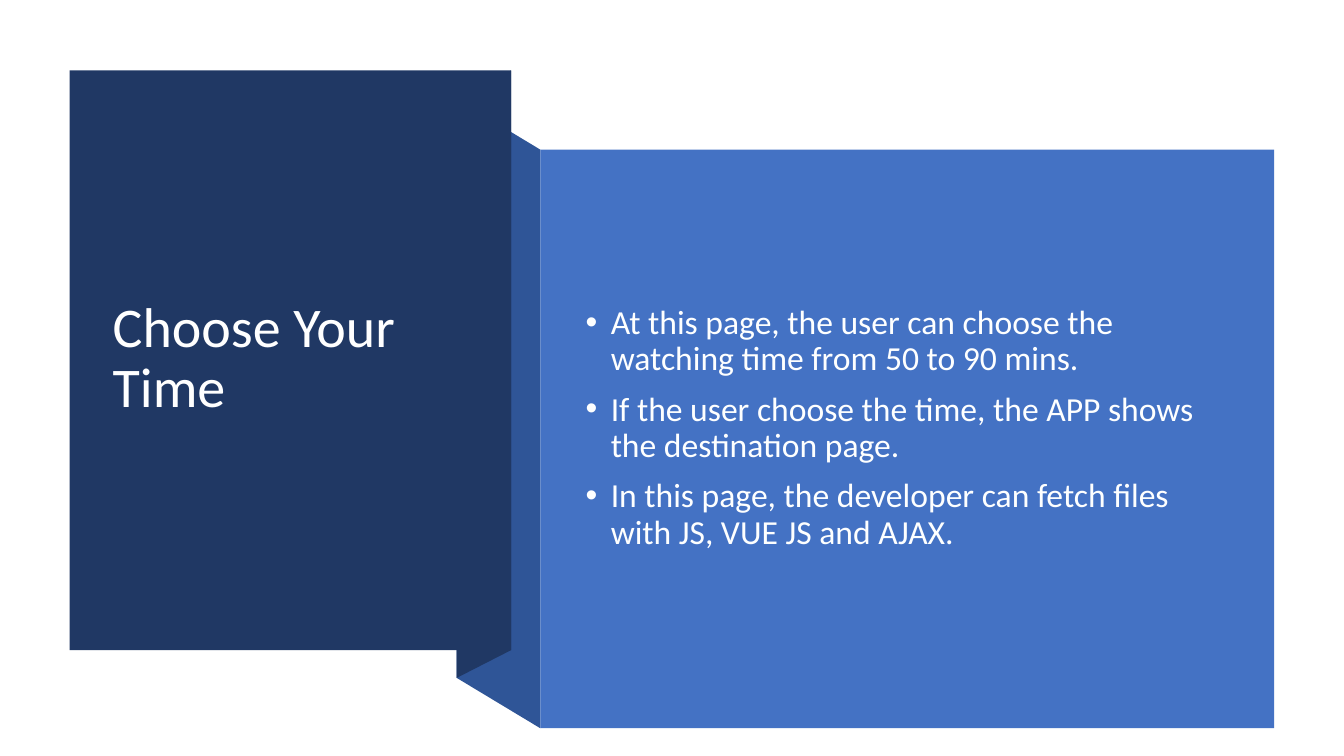
import pptx
import pptx.dml.color
import pptx.enum.shapes
import pptx.enum.text
import pptx.oxml.ns
import pptx.util
from lxml import etree

RGBColor = pptx.dml.color.RGBColor
NAVY = RGBColor(0x20, 0x38, 0x64)
FOLD = RGBColor(0x2F, 0x55, 0x97)
BLUE = RGBColor(0x44, 0x72, 0xC4)
WHITE = RGBColor(0xFF, 0xFF, 0xFF)
PALE = RGBColor(0xFE, 0xFF, 0xFF)

# Shared edges, in percent of the slide's width (x) or height (y)
LEFT, INNER, CREASE, HINGE, RIGHT = 5.18, 33.98, 38.03, 40.2, 94.8
TOP, BASE = 9.33, 86
BACK_TOP, BACK_BASE = 13.13, 89.67
PANEL_TOP, PANEL_BASE = 19.8, 96.33

TITLE = "Choose Your Time"
POINTS = [
    "At this page, the user can choose the watching time from 50 to 90 mins.",
    "If the user choose the time, the APP shows the destination page.",
    "In this page, the developer can fetch files with JS, VUE JS and AJAX.",
]


class Deck:
    """Holds the style and the current slide; lengths are percents."""

    font = "Calibri"
    lead = 0.9
    gap = pptx.util.Pt(10)
    hang = pptx.util.Inches(0.25)

    def __init__(self, show):
        """Add a blank slide to the show."""
        self.wide, self.high = show.slide_width, show.slide_height
        self.shapes = show.slides.add_slide(show.slide_layouts[6]).shapes

    def spot(self, x, y):
        """Turn percents into slide lengths."""
        return round(self.wide * x / 100), round(self.high * y / 100)

    def paint(self, shape, color):
        """Give a shape a flat fill with no line or shadow."""
        shape.shadow.inherit = False
        shape.fill.solid()
        shape.fill.fore_color.rgb = color
        shape.line.fill.background()

    def rect(self, left, top, right, base, color):
        """Draw a rectangle between its edges."""
        kind = pptx.enum.shapes.MSO_SHAPE.RECTANGLE
        size = self.spot(right - left, base - top)
        self.paint(self.shapes.add_shape(kind, *self.spot(left, top), *size), color)

    def flap(self, points, color):
        """Draw a closed outline through the points."""
        first, *rest = [self.spot(*point) for point in points]
        form = self.shapes.build_freeform(*first)
        form.add_line_segments(rest, close=True)
        self.paint(form.convert_to_shape(), color)

    def text(self, left, top, width, height, lines, size, color, listed=False):
        """Write paragraphs, centred in height, with bullets if listed."""
        box = self.shapes.add_textbox(*self.spot(left, top), *self.spot(width, height))
        frame = box.text_frame
        frame.word_wrap = True
        frame.vertical_anchor = pptx.enum.text.MSO_ANCHOR.MIDDLE
        frame.text = "\n".join(lines)
        for para in frame.paragraphs:
            para.line_spacing = self.lead
            para.font.name = self.font
            para.font.size = pptx.util.Pt(size)
            para.font.color.rgb = color
            if listed:
                para.space_before = self.gap
                self.bullet(para)

    def bullet(self, para):
        """Add a round bullet and a hanging indent."""
        props = para._p.get_or_add_pPr()
        props.set("marL", str(self.hang))
        props.set("indent", str(-self.hang))
        qn = pptx.oxml.ns.qn
        face = etree.Element(qn("a:buFont"), typeface="Arial")
        mark = etree.Element(qn("a:buChar"), char="•")
        start = props.find(qn("a:defRPr"))
        start.addprevious(face)
        start.addprevious(mark)


def main():
    """Build the slide and save it."""
    show = pptx.Presentation()
    show.slide_width = pptx.util.Inches(13.33)
    show.slide_height = pptx.util.Inches(7.5)
    deck = Deck(show)
    deck.flap([(HINGE, PANEL_BASE), (INNER, BACK_BASE),
               (INNER, BACK_TOP), (HINGE, PANEL_TOP)], FOLD)
    deck.flap([(CREASE, BASE), (INNER, BACK_BASE),
               (INNER, BACK_TOP), (CREASE, TOP)], NAVY)
    deck.rect(LEFT, TOP, CREASE, BASE, NAVY)
    deck.text(7.65, 14.27, 27.83, 66.53, [TITLE], 40, WHITE)
    deck.rect(HINGE, PANEL_TOP, RIGHT, PANEL_BASE, BLUE)
    deck.text(42.83, 25.07, 48.83, 63.2, POINTS, 24, PALE, listed=True)
    show.save("out.pptx")


main()
